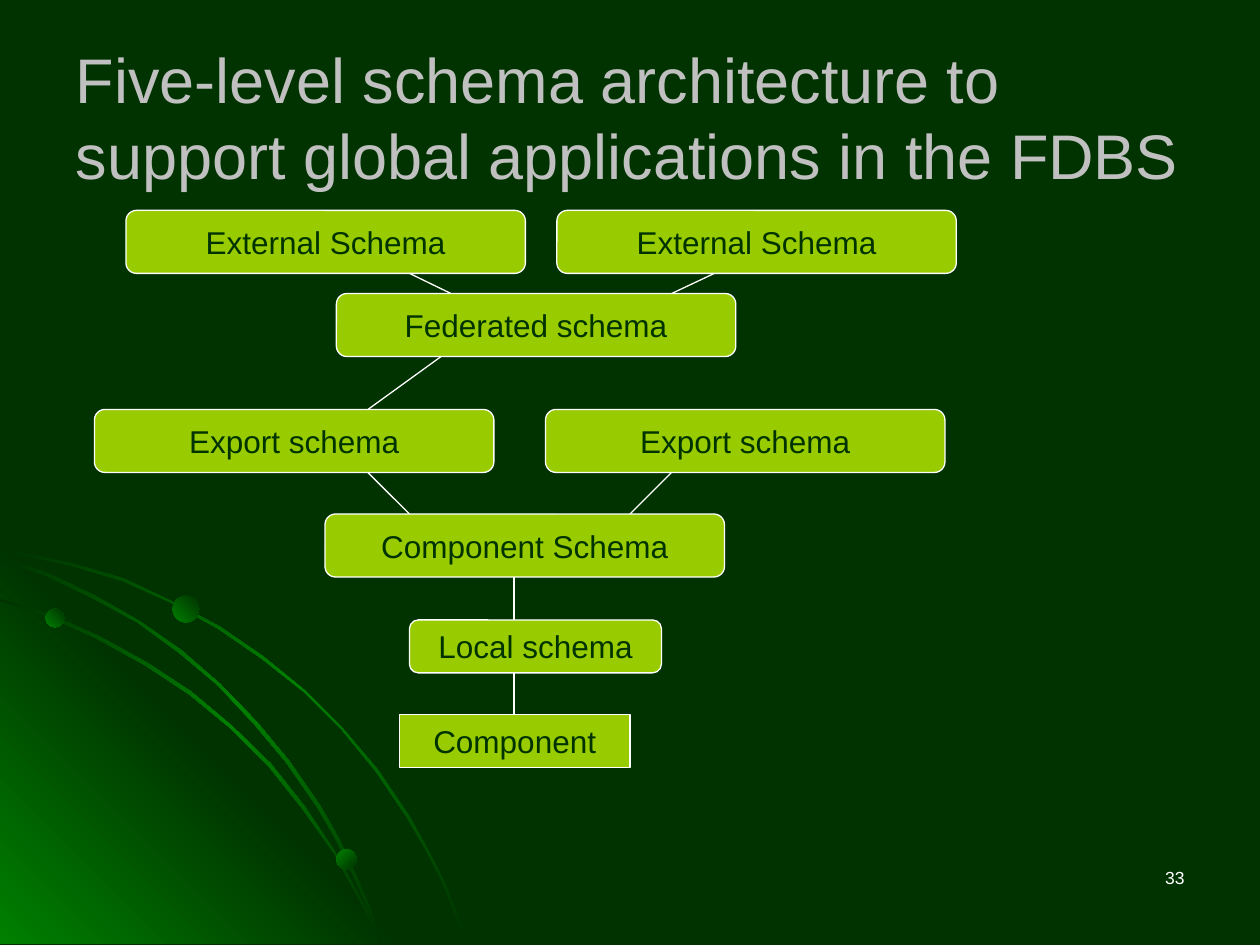
"""Build the five-level schema architecture slide."""
from lxml import etree
from pptx import Presentation
from pptx import util as u
from pptx.dml.color import RGBColor
from pptx.enum import shapes, text
from pptx.oxml.ns import qn

THEME = {
    "dark": "003300", "glow": "008000", "box": "99CC00", "line": "FFFFFF",
    "title": "C0C0C0", "font": "Arial",
    "title_size": 36, "box_size": 18, "number_size": 10, "line_width": 0.74,
}
TITLE = "Five-level schema architecture to support global applications in the FDBS"
NUMBER = "33"
ROUND = shapes.MSO_SHAPE.ROUNDED_RECTANGLE
PROCESS = shapes.MSO_SHAPE.FLOWCHART_PROCESS
WIDE = (3.17, 0.5)
BOXES = [
    ("Component", PROCESS, (3.17, 5.67), (1.83, 0.42)),
    ("Local schema", ROUND, (3.25, 4.92), (2, 0.42)),
    ("Component Schema", ROUND, (2.58, 4.08), WIDE),
    ("Export schema", ROUND, (4.33, 3.25), WIDE),
    ("Export schema", ROUND, (0.75, 3.25), WIDE),
    ("Federated schema", ROUND, (2.67, 2.33), WIDE),
    ("External Schema", ROUND, (1, 1.67), WIDE),
    ("External Schema", ROUND, (4.42, 1.67), WIDE),
]
LINKS = [
    (4.08, 5.33, 4.08, 5.67), (4.08, 4.58, 4.08, 4.92),
    (2.92, 3.75, 3.25, 4.08), (5.33, 3.75, 5, 4.08),
    (3.5, 2.83, 2.92, 3.25), (3.25, 2.17, 3.58, 2.33),
    (5.67, 2.17, 5.33, 2.33),
]
OUTER_ARC = [
    (0.57, 4.47), (0.28, 4.41), (0, 4.35), (0, 4.38), (0.28, 4.43), (0.56, 4.49),
    (0.97, 4.61), (1.35, 4.78), (1.73, 4.99), (2.08, 5.23), (2.41, 5.49),
    (2.71, 5.79), (2.98, 6.12), (3.23, 6.49), (3.37, 6.73), (3.5, 6.98),
    (3.6, 7.23), (3.7, 7.49), (3.72, 7.49), (3.62, 7.23), (3.52, 6.98),
    (3.39, 6.73), (3.25, 6.48), (3, 6.11), (2.72, 5.78), (2.42, 5.48),
    (2.09, 5.21), (1.74, 4.97), (1.36, 4.77), (0.98, 4.59),
]
CORNER = [(3.22, 7.49), (0, 7.49), (0, 4.27)]
INNER_ARC = [
    (2.85, 7.14), (2.94, 7.32), (3.01, 7.49), (3.03, 7.49), (2.96, 7.3),
    (2.86, 7.12), (2.66, 6.76), (2.42, 6.4), (2.15, 6.06), (1.84, 5.76),
    (1.52, 5.49), (1.17, 5.26), (0.79, 5.05), (0.41, 4.88), (0, 4.75), (0, 4.77),
    (0.39, 4.9), (0.77, 5.07), (1.15, 5.28), (1.5, 5.51), (1.83, 5.78),
    (2.13, 6.08), (2.4, 6.42), (2.65, 6.77),
]
MIDDLE_ARC = [
    (0, 4.42), (0, 4.44), (0.36, 4.57), (0.74, 4.75), (1.09, 4.94), (1.42, 5.18),
    (1.73, 5.44), (2.02, 5.75), (2.27, 6.05), (2.52, 6.41), (2.67, 6.67),
    (2.8, 6.94), (2.92, 7.22), (3.01, 7.49), (3.03, 7.49), (2.94, 7.2),
    (2.82, 6.93), (2.69, 6.65), (2.54, 6.39), (2.29, 6.03), (2.04, 5.73),
    (1.75, 5.43), (1.44, 5.16), (1.11, 4.93), (0.76, 4.73), (0.39, 4.55),
]
ARC_STOPS = ("dark", "glow", "dark")
CURVES = [
    (OUTER_ARC, ARC_STOPS, 45),
    (CORNER, ("glow", "dark", "glow"), 315),
    (INNER_ARC, ARC_STOPS, 45),
    (MIDDLE_ARC, ARC_STOPS, 45),
]
DOTS = [(0.36, 4.83, 0.15, 315), (2.67, 6.74, 0.16, 45), (1.37, 4.73, 0.21, 315)]


def color(name):
    return RGBColor.from_string(THEME[name])


def inches(*values):
    return [u.Inches(value) for value in values]


def assign(target, values):
    for name, value in values.items():
        setattr(target, name, value)


def write(shape, words, size, tint, align, **frame_format):
    frame = shape.text_frame
    assign(frame, frame_format)
    para = frame.paragraphs[0]
    para.alignment = align
    span = para.add_run()
    span.text = words
    assign(span.font, {"name": THEME["font"], "size": u.Pt(THEME[size])})
    span.font.color.rgb = color(tint)


def shade(shape, stops, angle):
    shape.shadow.inherit = False
    shape.line.fill.background()
    shape.fill.gradient()
    shape.fill.gradient_angle = 360 - angle
    stop_list = shape._element.spPr.find(qn("a:gradFill")).find(qn("a:gsLst"))
    for stop in list(stop_list):
        stop_list.remove(stop)
    for index, name in enumerate(stops):
        position = str(index * 100000 // (len(stops) - 1))
        stop = etree.SubElement(stop_list, qn("a:gs"), pos=position)
        etree.SubElement(stop, qn("a:srgbClr"), val=THEME[name])


deck = Presentation()
assign(deck, {"slide_width": u.Inches(10), "slide_height": u.Inches(7.5)})
page = deck.slides.add_slide(deck.slide_layouts[5])
page.background.fill.solid()
page.background.fill.fore_color.rgb = color("dark")

for points, stops, angle in CURVES:
    start, *rest = [inches(*point) for point in points]
    builder = page.shapes.build_freeform(*start)
    builder.add_line_segments(rest, close=True)
    shade(builder.convert_to_shape(), stops, angle)

for left, top, size, angle in DOTS:
    dot = page.shapes.add_shape(shapes.MSO_SHAPE.OVAL, *inches(left, top, size, size))
    shade(dot, ("glow", "dark"), angle)

title = page.shapes.title
assign(title, dict(zip(("left", "top", "width", "height"), inches(0.5, 0.3, 9, 1.25))))
write(title, TITLE, "title_size", "title", text.PP_ALIGN.LEFT, word_wrap=True,
      auto_size=text.MSO_AUTO_SIZE.NONE, vertical_anchor=text.MSO_ANCHOR.MIDDLE)

for ends in LINKS:
    link = page.shapes.add_connector(shapes.MSO_CONNECTOR.STRAIGHT, *inches(*ends))
    link.line.color.rgb = color("line")
    link.line.width = u.Pt(THEME["line_width"])
    etree.SubElement(link._element.spPr, qn("a:effectLst"))

for label, kind, place, size in BOXES:
    box = page.shapes.add_shape(kind, *inches(*place, *size))
    box.shadow.inherit = False
    box.fill.solid()
    box.fill.fore_color.rgb = color("box")
    box.line.color.rgb = color("line")
    box.line.width = u.Pt(THEME["line_width"])
    write(box, label, "box_size", "dark", text.PP_ALIGN.CENTER, word_wrap=False,
          vertical_anchor=text.MSO_ANCHOR.MIDDLE)

number = page.shapes.add_textbox(*inches(7.17, 6.83, 2.33, 0.5))
write(number, NUMBER, "number_size", "line", text.PP_ALIGN.RIGHT, word_wrap=True)

deck.save("out.pptx")
